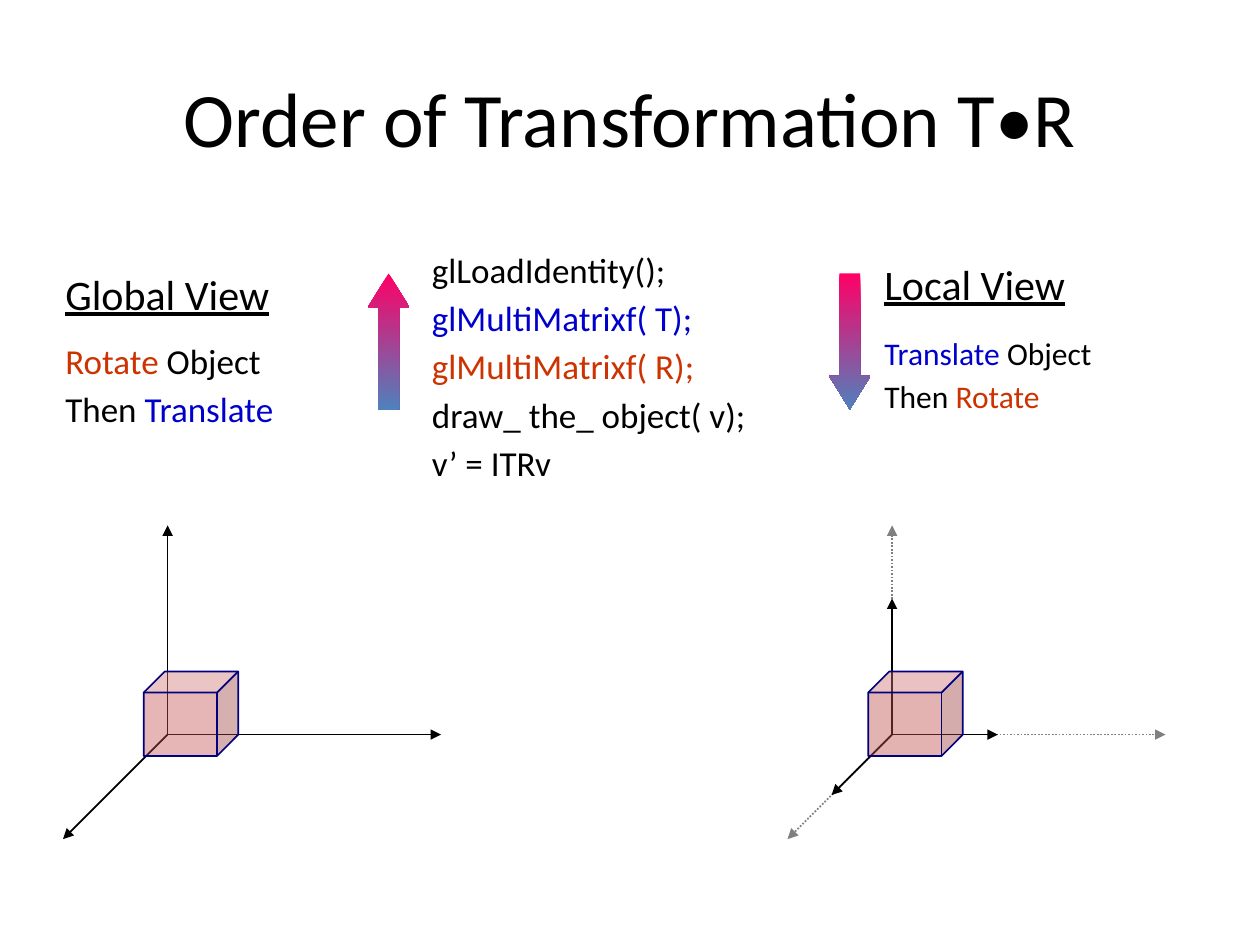
from pptx import Presentation
from pptx.dml.color import RGBColor
from pptx.enum.dml import MSO_LINE
from pptx.enum.shapes import MSO_CONNECTOR, MSO_SHAPE
from pptx.enum.text import MSO_ANCHOR, PP_ALIGN
from pptx.oxml.ns import qn
from pptx.util import Inches, Pt
from lxml import etree

STRAIGHT = MSO_CONNECTOR.STRAIGHT
UP, DOWN, CUBE = MSO_SHAPE.UP_ARROW, MSO_SHAPE.DOWN_ARROW, MSO_SHAPE.CUBE
DOTS = MSO_LINE.ROUND_DOT
CENTER, LEFT = PP_ALIGN.CENTER, PP_ALIGN.LEFT
MIDDLE, TOP = MSO_ANCHOR.MIDDLE, MSO_ANCHOR.TOP

FONT = "Calibri"
COLORS = {
    "black": "000000", "blue": "0000CC", "red": "CC3300", "gray": "808080",
    "pink": "FF0066", "steel": "4F81BD", "brick": "C0504D", "navy": "000080",
}
LEAD = 0.18  # space before a line, as a share of its text size


def color(name):
    return RGBColor.from_string(COLORS[name])


def add_text(slide, box, lines, size=20, align=LEFT, anchor=TOP):
    """Each line is (runs, format); each run is (text, colour name)."""
    shape = slide.shapes.add_textbox(*map(Inches, box))
    frame = shape.text_frame
    frame.word_wrap = True
    frame.vertical_anchor = anchor
    for i, (runs, form) in enumerate(lines):
        para = frame.paragraphs[0] if i == 0 else frame.add_paragraph()
        para.alignment = align
        pts = form.get("size", size)
        para.space_before = Pt(form.get("gap", pts * LEAD))
        for text, name in runs:
            run = para.add_run()
            run.text = text
            run.font.name = FONT
            run.font.size = Pt(pts)
            run.font.underline = form.get("line", False)
            run.font.color.rgb = color(name)


def add_view(slide, box, head, steps, size, gap):
    """Underlined heading with two steps below it."""
    first, last = steps
    add_text(slide, box, [
        ([(head, "black")], {"size": 24, "line": True}),
        (first, {"gap": gap}),
        (last, {}),
    ], size=size)


def add_flow(slide, kind, box):
    """Block arrow that fades from pink to steel."""
    arrow = slide.shapes.add_shape(kind, *map(Inches, box))
    arrow.shadow.inherit = False
    arrow.adjustments[0] = 0.5
    arrow.adjustments[1] = 0.81
    arrow.line.fill.background()
    arrow.fill.gradient()
    arrow.fill.gradient_angle = 270
    for stop, name in zip(arrow.fill.gradient_stops, ("pink", "steel")):
        stop.color.rgb = color(name)


def add_axes(slide, x, y, up, right, out, name="black", dash=None):
    """Three arrows from the origin x, y, with the length of each."""
    for dx, dy in ((0, -up), (right, 0), (-out, out)):
        axis = slide.shapes.add_connector(
            STRAIGHT, *map(Inches, (x, y, x + dx, y + dy)))
        axis.line.width = Pt(1)
        axis.line.color.rgb = color(name)
        if dash:
            axis.line.dash_style = dash
        etree.SubElement(axis.line._get_or_add_ln(), qn("a:tailEnd"),
                         type="triangle")
        etree.SubElement(axis._element.spPr, qn("a:effectLst"))


def add_cube(slide, x, y, alpha):
    """Translucent cube around the origin x, y."""
    cube = slide.shapes.add_shape(
        CUBE, *map(Inches, (x - 0.19, y - 0.5, 0.75, 0.67)))
    cube.shadow.inherit = False
    cube.adjustments[0] = 0.25
    cube.fill.solid()
    cube.fill.fore_color.rgb = color("brick")
    tone = cube._element.spPr.find(qn("a:solidFill"))[0]
    etree.SubElement(tone, qn("a:alpha"), val=str(alpha * 1000))
    cube.line.color.rgb = color("navy")
    cube.line.width = Pt(1)


def add_code(slide, box):
    rows = (
        ("glLoadIdentity();", "black"),
        ("glMultiMatrixf( T);", "blue"),
        ("glMultiMatrixf( R);", "red"),
        ("draw_ the_ object( v);", "black"),
        ("v’ = ITRv", "black"),
    )
    add_text(slide, box, [([row], {}) for row in rows])


def main():
    deck = Presentation()
    deck.slide_width, deck.slide_height = Inches(10), Inches(7.5)
    slide = deck.slides.add_slide(deck.slide_layouts[6])

    add_text(slide, (0.5, 0.3, 9, 1.25),
             [([("Order of Transformation T•R", "black")], {"gap": 0})],
             size=44, align=CENTER, anchor=MIDDLE)

    add_view(slide, (0.42, 2.08, 2.58, 1.67), "Global View", (
        [("Rotate", "red"), (" Object", "black")],
        [("Then ", "black"), ("Translate", "blue")],
    ), size=20, gap=12)
    add_flow(slide, UP, (2.92, 2.17, 0.33, 1.08))
    add_code(slide, (3.33, 1.92, 3.17, 2.5))
    add_flow(slide, DOWN, (6.58, 2.17, 0.33, 1.08))
    add_view(slide, (6.92, 2, 2.75, 1.67), "Local View", (
        [("Translate ", "blue"), ("Object", "black")],
        [("Then", "black"), (" Rotate", "red")],
    ), size=18, gap=14.4)

    left, right, base = 1.33, 7.08, 5.83
    full = (1.66, 2.17, 0.83)
    add_axes(slide, left, base, *full)
    add_cube(slide, left, base, 41)
    add_axes(slide, right, base, *full, name="gray", dash=DOTS)
    add_axes(slide, right, base, 1.08, 0.84, 0.48)
    add_cube(slide, right, base, 43)

    deck.save("out.pptx")


if __name__ == "__main__":
    main()
